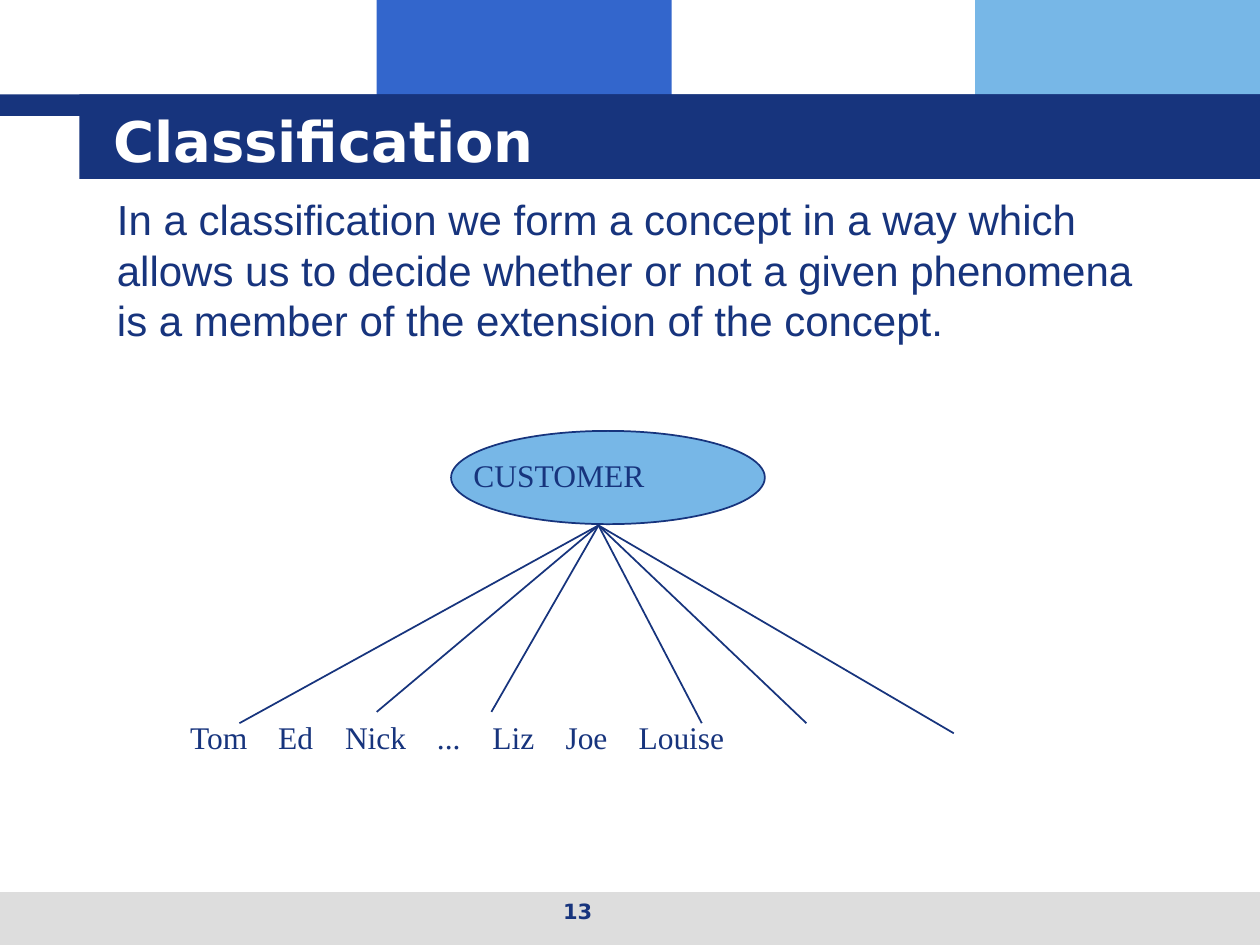
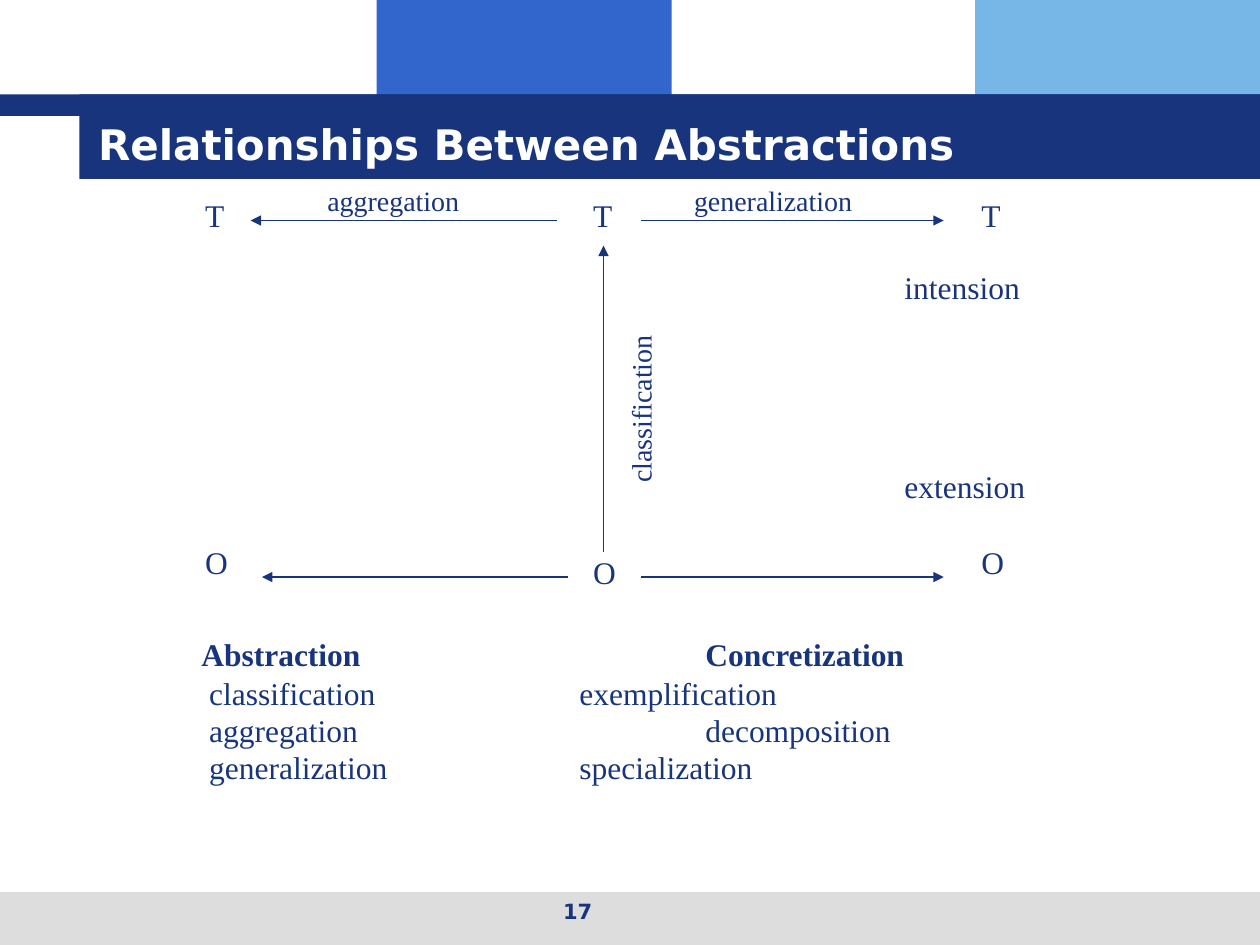
from dataclasses import dataclass

from lxml import etree
from pptx import Presentation
from pptx import util as u
from pptx.dml import color
from pptx.enum import shapes, text
from pptx.oxml import ns

COLORS = {
    "navy": "17347D",
    "blue": "3366CC",
    "sky": "77B7E7",
    "gray": "DDDDDD",
    "white": "FFFFFF",
}
HEADING_FONT = "DejaVu Sans"
BODY_FONT = "Arial"
DIAGRAM_FONT = "Times New Roman"


@dataclass
class Box:
    """A rectangle in inches."""

    left: float
    top: float
    width: float
    height: float

    def inner(self, left, top, width, height):
        """Return a box offset from this box's corner."""
        return Box(self.left + left, self.top + top, width, height)

    def point(self, x, y):
        """Return a point offset from this box's corner."""
        return self.left + x, self.top + y

    def lengths(self):
        """Return the four measures as slide lengths."""
        return [u.Inches(n) for n in (self.left, self.top, self.width, self.height)]


def rgb(name):
    """Look up a named colour."""
    return color.RGBColor.from_string(COLORS[name])


def add_tab_stops(paragraph, positions):
    """Give a paragraph left tab stops, in inches."""
    tab_list = etree.SubElement(paragraph._p.get_or_add_pPr(), ns.qn("a:tabLst"))
    for position in positions:
        etree.SubElement(tab_list, ns.qn("a:tab"), pos=str(u.Inches(position)), algn="l")


def add_text(slide, box, content, size=18, font=DIAGRAM_FONT, fill="navy", bold=False,
             align=text.PP_ALIGN.LEFT, anchor=text.MSO_ANCHOR.TOP, before=0, wrap=True,
             rotation=0, rows=None):
    """Add a text box; rows optionally hold (text, bold, line spacing, tab stops)."""
    shape = slide.shapes.add_textbox(*box.lengths())
    shape.rotation = rotation
    frame = shape.text_frame
    frame.word_wrap = wrap
    frame.vertical_anchor = anchor
    for index, (words, strong, spacing, tabs) in enumerate(rows or [(content, bold, None, ())]):
        paragraph = frame.add_paragraph() if index else frame.paragraphs[0]
        paragraph.alignment = align
        paragraph.space_before = u.Pt(before)
        if spacing:
            paragraph.line_spacing = spacing
        if tabs:
            add_tab_stops(paragraph, tabs)
        run = paragraph.add_run()
        run.text = words
        run.font.name = font
        run.font.size = u.Pt(size)
        run.font.bold = strong
        run.font.color.rgb = rgb(fill)


def add_filled(slide, box, fill, kind=shapes.MSO_SHAPE.RECTANGLE, line=None):
    """Add a filled preset shape with an optional outline."""
    shape = slide.shapes.add_shape(kind, *box.lengths())
    shape.shadow.inherit = False
    shape.fill.solid()
    shape.fill.fore_color.rgb = rgb(fill)
    if line:
        shape.line.color.rgb = rgb(line)
        shape.line.width = u.Pt(1)
    else:
        shape.line.fill.background()


def add_line(slide, start, end, arrow=False):
    """Add a thin navy line, with an arrowhead at its end if asked."""
    connector = slide.shapes.add_connector(
        shapes.MSO_CONNECTOR.STRAIGHT, *(u.Inches(n) for n in (*start, *end)))
    connector.line.color.rgb = rgb("navy")
    connector.line.width = u.Pt(1)
    properties = connector._element.spPr
    if arrow:
        etree.SubElement(properties.get_or_add_ln(), ns.qn("a:tailEnd"), type="triangle")
    etree.SubElement(properties, ns.qn("a:effectLst"))


def add_frame(presentation, title, title_box, title_size, number):
    """Add a slide with its bands, title and page number."""
    slide = presentation.slides.add_slide(presentation.slide_layouts[6])
    for box, fill in (
        (Box(2.99, 0, 2.34, 0.92), "blue"),
        (Box(7.74, 0, 2.26, 0.92), "sky"),
        (Box(0, 7.08, 10, 0.42), "gray"),
        (Box(0, 0.75, 10, 0.17), "navy"),
        (Box(0.63, 0.75, 9.37, 0.67), "navy"),
    ):
        add_filled(slide, box, fill)
    add_text(slide, title_box, title, size=title_size, font=HEADING_FONT, fill="white",
             bold=True, anchor=text.MSO_ANCHOR.MIDDLE)
    add_text(slide, Box(3.42, 7.08, 2.33, 0.35), number, size=12, font=HEADING_FONT,
             bold=True, align=text.PP_ALIGN.CENTER)
    return slide


def add_customer_tree(slide, box):
    """Draw the customer concept and the lines to its members."""
    add_filled(slide, box.inner(2.17, 0, 2.49, 0.74), "sky", shapes.MSO_SHAPE.OVAL, "navy")
    add_text(slide, box.inner(2.25, 0.15, 2.34, 0.4), "CUSTOMER", before=11.2)
    members = "\t".join(("Tom", "Ed", "Nick", "...", "Liz", "Joe", "Louise"))
    add_text(slide, box.inner(0, 2.23, 8.09, 0.4), None, before=11.2,
             rows=[(members, False, None, (0.7, 1.23, 1.96, 2.4, 2.98, 3.56))])
    for x, y in ((0.49, 2.32), (1.58, 2.23), (2.49, 2.23),
                 (4.16, 2.32), (4.99, 2.32), (6.16, 2.4)):
        add_line(slide, box.point(3.34, 0.75), box.point(x, y))


def add_relationship_diagram(slide, box):
    """Draw types above objects, joined by the kinds of abstraction."""
    for column in range(3):
        left = 3.08 * column
        add_text(slide, box.inner(left, 0.1, 0.35, 0.4), "T", wrap=False)
        top = 2.93 if column == 1 else 2.85
        add_text(slide, box.inner(left, top, 0.38, 0.4), "O", wrap=False)
    for y, shift in ((0.34, 0), (3.17, 0.09)):
        add_line(slide, box.point(2.89 + shift, y), box.point(0.46 + shift, y), arrow=True)
        add_line(slide, box.point(3.56, y), box.point(5.96, y), arrow=True)
    add_line(slide, box.point(3.26, 2.97), box.point(3.26, 0.54), arrow=True)
    for label, left, top, width, rotation in (
        ("aggregation", 0.97, 0, 1.43, 0),
        ("generalization", 3.88, 0, 1.68, 0),
        ("classification", 2.72, 1.51, 1.66, 270),
    ):
        add_text(slide, box.inner(left, top, width, 0.36), label, size=16, before=10,
                 rotation=rotation)
    for label, top in (("intension", 0.67), ("extension", 2.25)):
        add_text(slide, box.inner(5.55, top, 2.18, 0.4), label, before=11.2)


def add_opposites(slide, box):
    """List each abstraction beside its concretization."""
    pairs = (
        ("Abstraction", "Concretization", 4),
        (" classification", "exemplification", 3),
        (" aggregation", "decomposition", 4),
        (" generalization", "specialization", 3),
    )
    rows = [(f"{abstraction}\t{opposite}", index == 0, 0.45 if index else None, (stop,))
            for index, (abstraction, opposite, stop) in enumerate(pairs)]
    add_text(slide, box, None, before=11.2, rows=rows)


def build_classification(presentation):
    """Build the slide on classification."""
    slide = add_frame(presentation, "Classification", Box(0.8, 0.8, 8.53, 0.62), 32, "13")
    add_text(slide, Box(0.83, 1.49, 8.43, 1.3),
             "In a classification we form a concept in a way which allows us to decide "
             "whether or not a given phenomena is a member of the extension of the concept.",
             size=24, font=BODY_FONT, before=15)
    add_customer_tree(slide, Box(1.41, 3.42, 8.09, 2.63))


def build_relationships(presentation):
    """Build the slide on relationships between abstractions."""
    slide = add_frame(presentation, "Relationships Between Abstractions",
                      Box(0.68, 0.68, 9.17, 0.92), 24, "17")
    add_relationship_diagram(slide, Box(1.53, 1.41, 7.73, 3.33))
    add_opposites(slide, Box(1.5, 4.99, 6.68, 1.27))


def main():
    """Build and save the presentation."""
    presentation = Presentation()
    presentation.slide_width = u.Inches(10)
    presentation.slide_height = u.Inches(7.5)
    build_classification(presentation)
    build_relationships(presentation)
    presentation.save("out.pptx")


if __name__ == "__main__":
    main()
